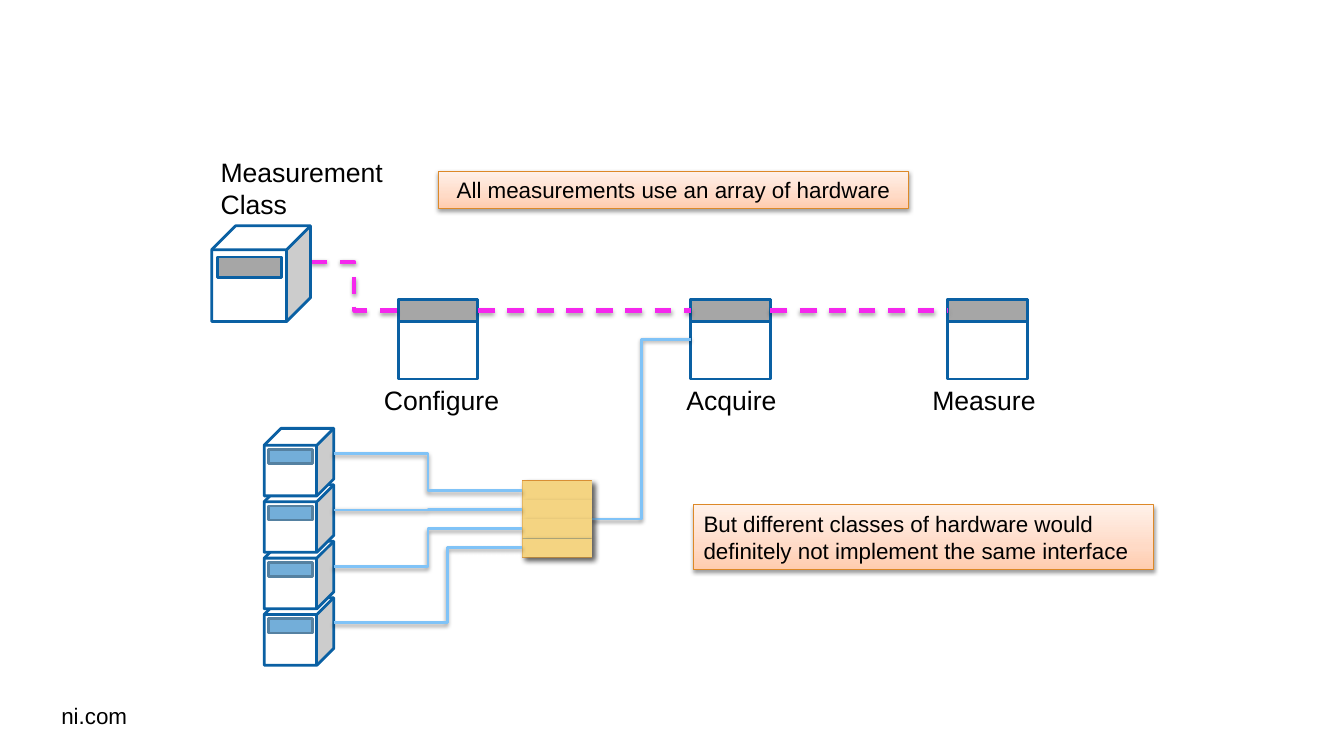
"""Build the slide on measurement classes that share an array of hardware."""
from lxml import etree
from pptx import Presentation
from pptx.dml.color import RGBColor
from pptx.enum.dml import MSO_LINE
from pptx.enum.shapes import MSO_CONNECTOR, MSO_SHAPE
from pptx.enum.text import MSO_ANCHOR, PP_ALIGN
from pptx.oxml import parse_xml
from pptx.oxml.ns import nsdecls, qn
from pptx.util import Inches, Pt

RECT, CUBE = MSO_SHAPE.RECTANGLE, MSO_SHAPE.CUBE
STRAIGHT, ELBOW = MSO_CONNECTOR.STRAIGHT, MSO_CONNECTOR.ELBOW
DASH = MSO_LINE.DASH
LEFT, CENTER = PP_ALIGN.LEFT, PP_ALIGN.CENTER
TOP, MIDDLE = MSO_ANCHOR.TOP, MSO_ANCHOR.MIDDLE
BLUE, GREY, MAGENTA, SKY, SAND = "0A60A3", "A6A6A6", "F527ED", "80C3F7", "F4D482"
SOFT = (38, 3.1, 1.6, 90)
DEEP = (40, 4, 3, 45)


def paint(sp, line=None, width=2, fill=None, shadow=None):
    """Set line, fill and shadow (opacity, blur, distance, angle) of a shape or connector."""
    if fill:
        sp.fill.solid()
        sp.fill.fore_color.rgb = RGBColor.from_string(fill)
    if line:
        sp.line.color.rgb = RGBColor.from_string(line)
        sp.line.width = Pt(width)
    else:
        sp.line.fill.background()
    effects = etree.SubElement(sp.element.spPr, qn("a:effectLst"))
    if shadow:
        alpha, blur, dist, angle = shadow
        effects.append(parse_xml(
            f'<a:outerShdw {nsdecls("a")} blurRad="{Pt(blur)}" dist="{Pt(dist)}" '
            f'dir="{angle * 60000}" rotWithShape="0"><a:srgbClr val="000000">'
            f'<a:alpha val="{alpha * 1000}"/></a:srgbClr></a:outerShdw>'))


def write(sp, text, size, align=LEFT, wrap=True, anchor=TOP):
    """Fill a shape with one paragraph of black Arial."""
    tf = sp.text_frame
    tf.word_wrap = wrap
    tf.vertical_anchor = anchor
    p = tf.paragraphs[0]
    p.text = text
    p.alignment = align
    p.font.size = Pt(size)
    p.font.name = "Arial"
    p.font.color.rgb = RGBColor.from_string("000000")


prs = Presentation()
prs.slide_width, prs.slide_height = Inches(13.33), Inches(7.5)
shapes = prs.slides.add_slide(prs.slide_layouts[6]).shapes

array = shapes.add_shape(RECT, Inches(5.18), Inches(4.77), Inches(0.69), Inches(0.76))
paint(array, "DE8C2D", 0.75, BLUE, DEEP)

cards, headers = [], []
for left in (3.95, 6.85, 9.4):
    for height, fill, group in ((0.79, "FFFFFF", cards), (0.22, GREY, headers)):
        s = shapes.add_shape(RECT, Inches(left), Inches(2.97), Inches(0.79), Inches(height))
        paint(s, BLUE, 2, fill)
        group.append(s)

for text, size, left, top, width, height, align, wrap in (
        ("Configure", 19, 3.71, 3.76, 1.36, 0.42, LEFT, False),
        ("Acquire", 19, 6.71, 3.76, 1.1, 0.42, LEFT, False),
        ("Measure", 19, 9.13, 3.76, 1.26, 0.42, CENTER, False),
        ("Measurement Class", 19, 2.09, 1.5, 1.86, 0.74, LEFT, True),
        ("ni.com", 16, 0.51, 6.92, 0.86, 0.37, LEFT, False)):
    s = shapes.add_textbox(Inches(left), Inches(top), Inches(width), Inches(height))
    write(s, text, size, align, wrap)

for before, after in zip([None] + headers, headers):
    kind = STRAIGHT if before else ELBOW
    c = shapes.add_connector(kind, Inches(3.08), Inches(2.6), Inches(3.95), Inches(3.08))
    if before:
        c.begin_connect(before, 3)
    c.end_connect(after, 1)
    paint(c, MAGENTA, 3, shadow=SOFT)
    c.line.dash_style = DASH

c = shapes.add_connector(ELBOW, Inches(5.87), Inches(5.15), Inches(6.85), Inches(3.36))
c.begin_connect(array, 3)
c.end_connect(cards[1], 1)
paint(c, SKY, shadow=SOFT)

rows = []
for i in range(4):
    s = shapes.add_shape(RECT, Inches(5.18), Inches(4.77 + 0.19 * i), Inches(0.69), Inches(0.19))
    paint(s, fill=SAND, shadow=DEEP)
    rows.append(s)

device_tops = [4.25 + 0.56 * i for i in range(4)]
cubes = [(2.62, top, 0.69, 0.67, 0.04, 0.21, 0.44, 0.14, "73AED9", "5581A1")
         for top in reversed(device_tops)]
cubes.append((2.1, 2.24, 0.98, 0.95, 0.06, 0.31, 0.63, 0.2, GREY, BLUE))
for left, top, width, height, dx, dy, slot_width, slot_height, fill, line in cubes:
    s = shapes.add_shape(CUBE, Inches(left), Inches(top), Inches(width), Inches(height))
    paint(s, BLUE, 2, "FFFFFF")
    s = shapes.add_shape(RECT, Inches(left + dx), Inches(top + dy),
                         Inches(slot_width), Inches(slot_height))
    paint(s, line, 2, fill)

for top, row, bend in zip(device_tops, rows, (50000, 50000, 50000, 60200)):
    y = Inches(top + 0.25)
    c = shapes.add_connector(ELBOW, Inches(3.31), y, Inches(5.18), y)
    c.end_connect(row, 1)
    guides = c.element.spPr.find(qn("a:prstGeom")).get_or_add_avLst()
    etree.SubElement(guides, qn("a:gd"), name="adj1", fmla=f"val {bend}")
    paint(c, SKY, shadow=SOFT)

stops = "".join(f'<a:gs pos="{pos}000"><a:srgbClr val="{color}"/></a:gs>'
                for pos, color in ((0, "FFCCAE"), (35, "FFDAC6"), (100, "FFF1E9")))
for text, left, top, width, height, align in (
        ("All measurements use an array of hardware", 4.35, 1.7, 4.66, 0.37, CENTER),
        ("But different classes of hardware would definitely not implement the same interface",
         6.88, 5.01, 4.56, 0.64, LEFT)):
    s = shapes.add_shape(RECT, Inches(left), Inches(top), Inches(width), Inches(height))
    s.element.spPr.insert(2, parse_xml(
        f'<a:gradFill {nsdecls("a")} rotWithShape="1"><a:gsLst>{stops}</a:gsLst>'
        '<a:lin ang="16200000" scaled="0"/></a:gradFill>'))
    paint(s, "DD8928", 0.75, shadow=SOFT)
    write(s, text, 16, align, anchor=MIDDLE)

prs.save("out.pptx")
